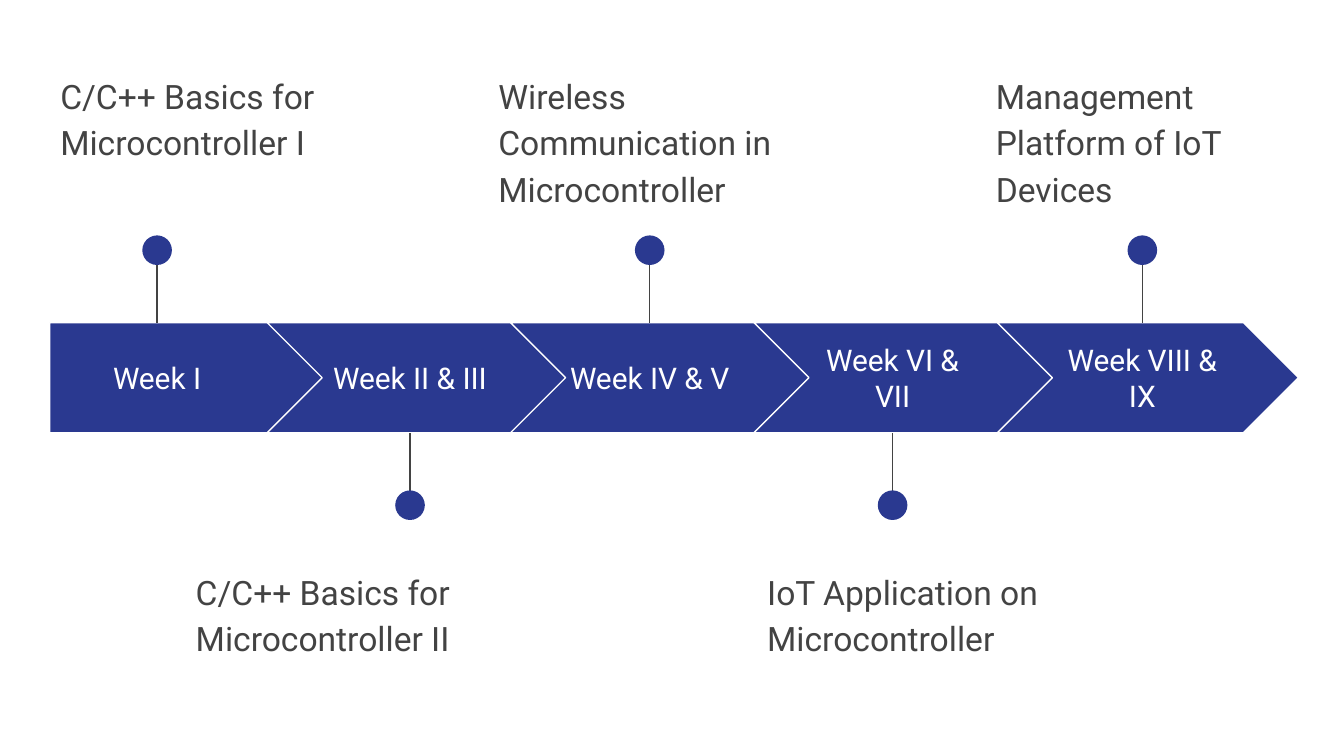
from lxml import etree
from pptx import Presentation
from pptx.dml.color import RGBColor
from pptx.enum.shapes import MSO_CONNECTOR, MSO_SHAPE
from pptx.enum.text import MSO_ANCHOR, PP_ALIGN
from pptx.oxml.ns import qn
from pptx.util import Cm, Pt

STRAIGHT = MSO_CONNECTOR.STRAIGHT
PENTAGON, CHEVRON, OVAL = MSO_SHAPE.PENTAGON, MSO_SHAPE.CHEVRON, MSO_SHAPE.OVAL
TOP, MIDDLE = MSO_ANCHOR.TOP, MSO_ANCHOR.MIDDLE
LEFT, CENTER = PP_ALIGN.LEFT, PP_ALIGN.CENTER

BLUE = RGBColor(0x2A, 0x39, 0x90)
GREY = RGBColor(0x43, 0x43, 0x43)
WHITE = RGBColor(0xFF, 0xFF, 0xFF)
FONT = "Roboto"

# Week, topic, marker centre and topic left edge (cm)
STAGES = [
    ("Week I", "C/C++ Basics for Microcontroller I", 2.97, 0.89),
    ("Week II & III", "C/C++ Basics for Microcontroller II", 7.75, 3.45),
    ("Week IV & V", "Wireless Communication in Microcontroller", 12.28, 9.17),
    ("Week VI & VII", "IoT Application on Microcontroller", 16.87, 14.25),
    ("Week VIII & IX", "Management Platform of IoT Devices", 21.59, 18.57),
]

# Layout (cm)
BAND_TOP, BAND_HEIGHT = 6.1, 2.08
FIRST_LEFT, FIRST_WIDTH = 0.94, 5.21
CHEVRON_LEFT, CHEVRON_WIDTH, CHEVRON_STEP = 5.05, 5.69, 4.6
WEEK_WIDTH, WEEK_HEIGHT = 3.66, 1.3
TOPIC_WIDTH, TOPIC_HEIGHT = 6.22, 2.51
TOPIC_TOP_ABOVE, TOPIC_TOP_BELOW = 1.07, 10.44
DOT, DOT_REACH = 0.56, 1.37  # diameter; distance from band to dot centre


def add_filled(shapes, kind, left, top, width, height):
    shape = shapes.add_shape(kind, Cm(left), Cm(top), Cm(width), Cm(height))
    shape.shadow.inherit = False
    shape.fill.solid()
    shape.fill.fore_color.rgb = BLUE
    shape.line.fill.background()
    return shape


def add_arrow(shapes, index):
    if index == 0:
        kind, left, width = PENTAGON, FIRST_LEFT, FIRST_WIDTH
    else:
        kind, width = CHEVRON, CHEVRON_WIDTH
        left = CHEVRON_LEFT + (index - 1) * CHEVRON_STEP
    arrow = add_filled(shapes, kind, left, BAND_TOP, width, BAND_HEIGHT)
    arrow.adjustments[0] = 0.5
    arrow.line.color.rgb = WHITE
    arrow.line.width = Pt(0.75)


def add_text(shapes, text, left, top, width, height, size, color, alignment, anchor):
    box = shapes.add_textbox(Cm(left), Cm(top), Cm(width), Cm(height))
    frame = box.text_frame
    frame.word_wrap = True
    frame.vertical_anchor = anchor
    frame.margin_left = frame.margin_right = Cm(0.25)
    frame.margin_top = frame.margin_bottom = Cm(0.25)
    frame.text = text
    paragraph = frame.paragraphs[0]
    paragraph.alignment = alignment
    font = paragraph.runs[0].font
    font.name, font.size = FONT, Pt(size)
    font.color.rgb = color
    return paragraph


def add_marker(shapes, center, above):
    band_edge = BAND_TOP if above else BAND_TOP + BAND_HEIGHT
    dot_center = band_edge + (-DOT_REACH if above else DOT_REACH)
    group = shapes.add_group_shape()
    stem = group.shapes.add_connector(
        STRAIGHT, Cm(center), Cm(dot_center), Cm(center), Cm(band_edge))
    stem.line.color.rgb = GREY
    stem.line.width = Pt(0.75)
    etree.SubElement(stem._element.spPr, qn("a:effectLst"))
    add_filled(group.shapes, OVAL, center - DOT / 2, dot_center - DOT / 2, DOT, DOT)


def main():
    presentation = Presentation()
    presentation.slide_width, presentation.slide_height = Cm(25.4), Cm(14.29)
    slide = presentation.slides.add_slide(presentation.slide_layouts[6])
    shapes = slide.shapes

    # Stages alternate above and below the band
    for index, (week, topic, center, topic_left) in enumerate(STAGES):
        above = index % 2 == 0
        add_arrow(shapes, index)
        add_text(shapes, week, center - WEEK_WIDTH / 2,
                 BAND_TOP + (BAND_HEIGHT - WEEK_HEIGHT) / 2,
                 WEEK_WIDTH, WEEK_HEIGHT, 16, WHITE, CENTER, MIDDLE)
        add_marker(shapes, center, above)
        paragraph = add_text(shapes, topic, topic_left,
                             TOPIC_TOP_ABOVE if above else TOPIC_TOP_BELOW,
                             TOPIC_WIDTH, TOPIC_HEIGHT, 18, GREY, LEFT, TOP)
        paragraph.line_spacing = 1.15
        paragraph.space_after = Pt(16)

    presentation.save("out.pptx")


if __name__ == "__main__":
    main()
